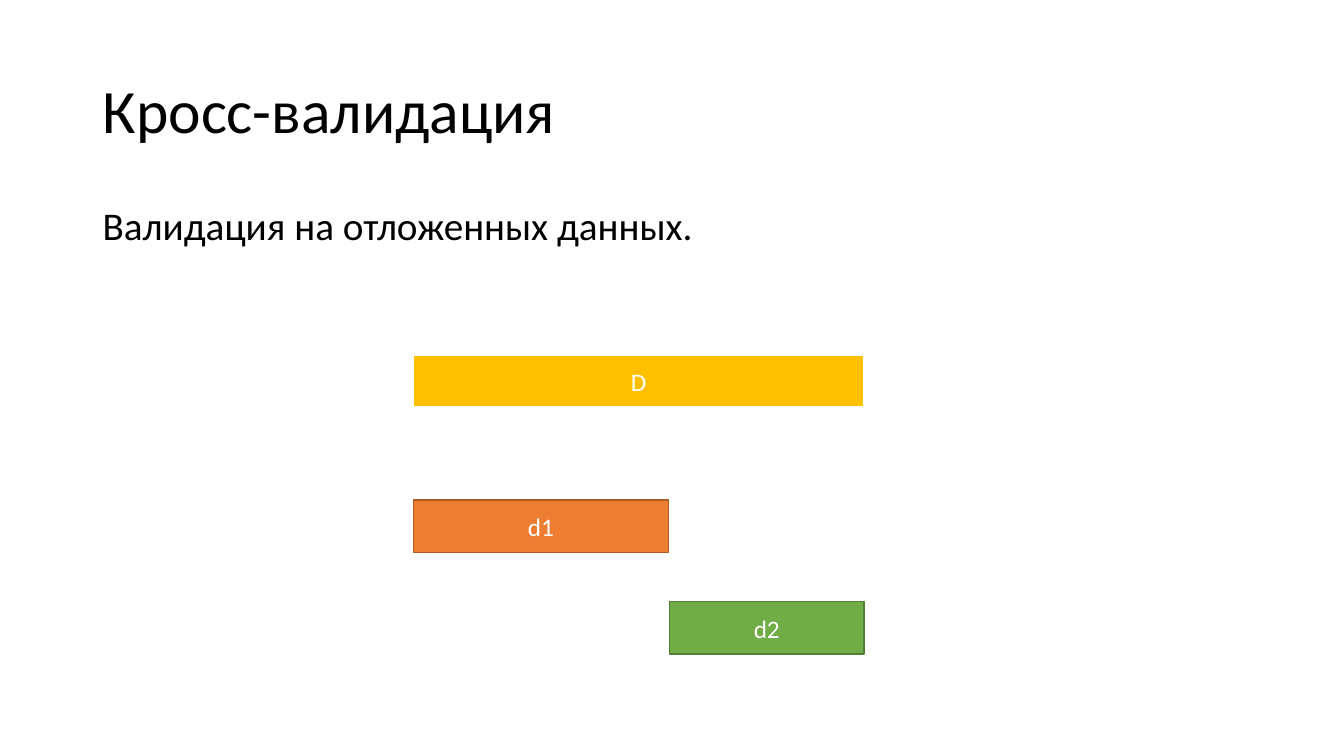
from pptx import Presentation
from pptx import util as u
from pptx.dml.color import RGBColor
from pptx.enum import shapes, text

TITLE = "Кросс-валидация"
SUBTITLE = "Валидация на отложенных данных."
COLORS = {
    "black": "000000", "white": "FFFFFF",
    "gold": "FFC000",
    "orange": "ED7D31", "dark orange": "AF5C24",
    "green": "70AD47", "dark green": "538035",
}
FONT = "Calibri"
MARGIN, CONTENT_WIDTH = 0.92, 11.5
DATA_LEFT, DATA_WIDTH, BAR_HEIGHT = 4.1, 4.47, 0.52
TRAIN_WIDTH = 2.53
TEST_WIDTH = 1.93
BARS = [
    ("D", DATA_LEFT, 3.52, DATA_WIDTH, "gold", "white", 1.5),
    ("d1", DATA_LEFT, 4.96, TRAIN_WIDTH, "orange", "dark orange", 1),
    ("d2", DATA_LEFT + DATA_WIDTH - TEST_WIDTH, 5.97, TEST_WIDTH,
     "green", "dark green", 1),
]


def color(name):
    return RGBColor.from_string(COLORS[name])


def write(box, words, size, tint, align, anchor):
    frame = box.text_frame
    frame.word_wrap = True
    frame.auto_size = text.MSO_AUTO_SIZE.NONE
    frame.vertical_anchor = anchor
    para = frame.paragraphs[0]
    para.alignment = align
    span = para.add_run()
    span.text = words
    span.font.name = FONT
    span.font.size = u.Pt(size)
    span.font.color.rgb = color(tint)
    return para


def place(left, top, width, height):
    return [u.Inches(value) for value in (left, top, width, height)]


def add_heading(page):
    title = page.shapes.title
    title.left, title.top, title.width, title.height = place(
        MARGIN, 0.4, CONTENT_WIDTH, 1.45)
    para = write(title, TITLE, 44, "black", text.PP_ALIGN.LEFT,
                 text.MSO_ANCHOR.MIDDLE)
    para.line_spacing = 0.9

    subtitle = page.shapes.add_textbox(*place(MARGIN, 2, CONTENT_WIDTH, 0.6))
    para = write(subtitle, SUBTITLE, 28, "black", text.PP_ALIGN.LEFT,
                 text.MSO_ANCHOR.TOP)
    para.line_spacing = 0.9
    para.space_before = u.Pt(10)


def add_bar(page, label, left, top, width, fill, outline, weight):
    bar = page.shapes.add_shape(shapes.MSO_SHAPE.RECTANGLE,
                                *place(left, top, width, BAR_HEIGHT))
    bar.shadow.inherit = False
    bar.fill.solid()
    bar.fill.fore_color.rgb = color(fill)
    bar.line.color.rgb = color(outline)
    bar.line.width = u.Pt(weight)
    write(bar, label, 18, "white", text.PP_ALIGN.CENTER,
          text.MSO_ANCHOR.MIDDLE)


def main():
    deck = Presentation()
    deck.slide_width, deck.slide_height = u.Inches(13.33), u.Inches(7.5)
    page = deck.slides.add_slide(deck.slide_layouts.get_by_name("Title Only"))
    add_heading(page)
    for bar in BARS:
        add_bar(page, *bar)
    deck.save("out.pptx")


if __name__ == "__main__":
    main()
